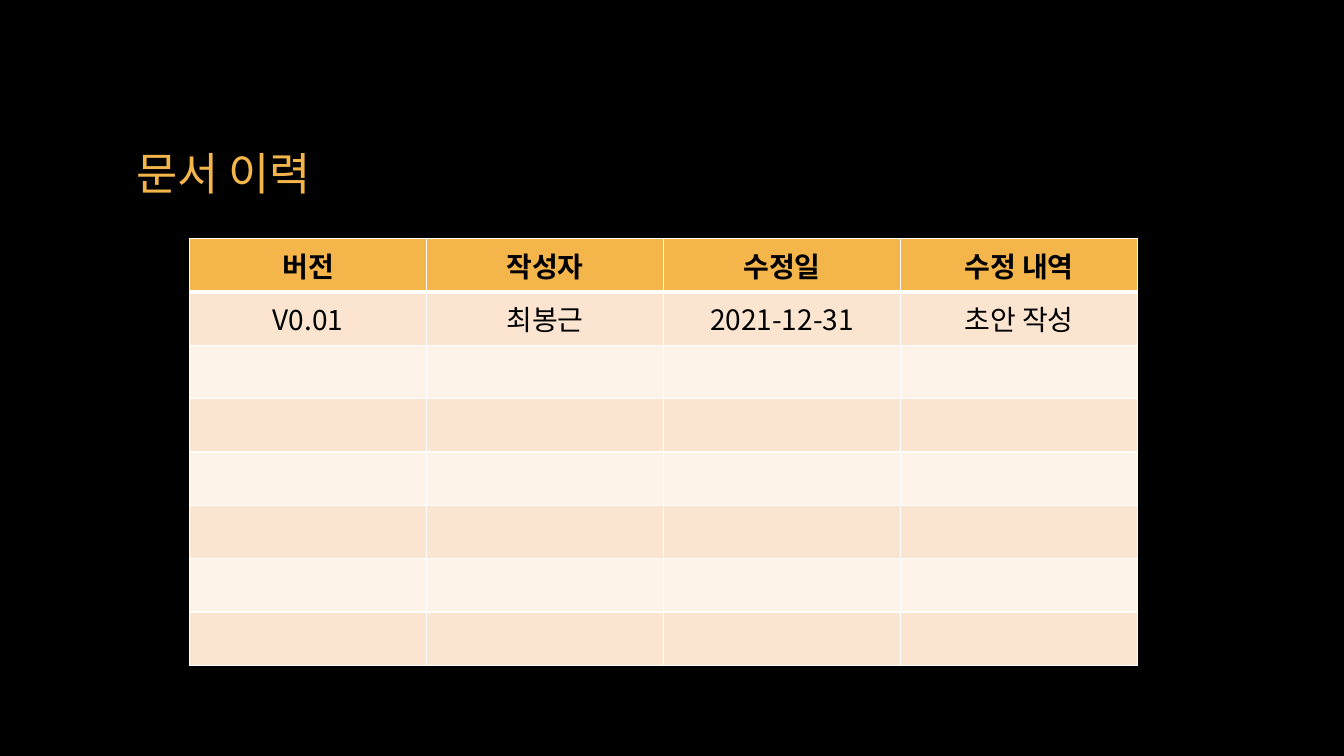
from dataclasses import dataclass

from lxml.etree import SubElement
from pptx import Presentation
from pptx.dml.color import RGBColor as Color
from pptx.enum.text import MSO_ANCHOR as Anchor, MSO_AUTO_SIZE as AutoSize, PP_ALIGN as Align
from pptx.oxml.ns import qn
from pptx.util import Pt


@dataclass(frozen=True)
class Theme:
    font: str = "Noto Sans CJK KR"
    background: str = "000000"
    accent: str = "F4B54B"
    text: str = "000000"
    border: str = "FFFFFF"
    bands: tuple = ("FBE5D0", "FDF3E9")
    title_size: int = 32
    table_size: int = 20
    thin: int = 1
    thick: int = 3


class SlideBuilder:
    def __init__(self, presentation, theme):
        self.theme = theme
        self.slide = presentation.slides.add_slide(presentation.slide_layouts[5])
        self.fill(self.slide.background, theme.background)

    def fill(self, target, color):
        target.fill.solid()
        target.fill.fore_color.rgb = Color.from_string(color)

    def style(self, paragraph, size, color, align, bold=False):
        paragraph.alignment = align
        font = paragraph.font
        font.size = Pt(size)
        font.bold = bold
        font.color.rgb = Color.from_string(color)
        font.name = self.theme.font
        defaults = paragraph._p.pPr.find(qn("a:defRPr"))
        SubElement(defaults, qn("a:ea"), typeface=self.theme.font)

    def title(self, text, left, top, width, height):
        shape = self.slide.shapes.title
        shape.left, shape.top = Pt(left), Pt(top)
        shape.width, shape.height = Pt(width), Pt(height)
        frame = shape.text_frame
        frame.text = text
        frame.auto_size = AutoSize.NONE
        frame.vertical_anchor = Anchor.MIDDLE
        self.style(frame.paragraphs[0], self.theme.title_size, self.theme.accent, Align.LEFT)

    def borders(self, cell, top, bottom):
        properties = cell._tc.get_or_add_tcPr()
        thin = self.theme.thin
        for side, width in (("L", thin), ("R", thin), ("T", top), ("B", bottom)):
            line = SubElement(properties, qn(f"a:ln{side}"), w=str(Pt(width)))
            color = SubElement(line, qn("a:solidFill"))
            SubElement(color, qn("a:srgbClr"), val=self.theme.border)

    def table(self, records, row_count, left, top, column_width, row_height):
        theme = self.theme
        column_count = len(records[0])
        table = self.slide.shapes.add_table(
            row_count, column_count, Pt(left), Pt(top),
            Pt(column_width * column_count), Pt(row_height * row_count)).table
        for column in table.columns:
            column.width = Pt(column_width)
        for row_index, row in enumerate(table.rows):
            row.height = Pt(row_height)
            header = row_index == 0
            color = theme.accent if header else theme.bands[(row_index - 1) % 2]
            top_line = theme.thick if row_index == 1 else theme.thin
            bottom_line = theme.thick if header else theme.thin
            for column_index, cell in enumerate(row.cells):
                cell.vertical_anchor = Anchor.MIDDLE
                self.borders(cell, top_line, bottom_line)
                self.fill(cell, color)
                if row_index < len(records):
                    cell.text = records[row_index][column_index]
                self.style(cell.text_frame.paragraphs[0], theme.table_size,
                           theme.text, Align.CENTER, header)


def main():
    presentation = Presentation()
    presentation.slide_width, presentation.slide_height = Pt(960), Pt(540)
    builder = SlideBuilder(presentation, Theme())
    builder.title("문서 이력", left=90, top=48, width=780, height=150)
    history = [
        ("버전", "작성자", "수정일", "수정 내역"),
        ("V0.01", "최봉근", "2021-12-31", "초안 작성"),
    ]
    builder.table(history, row_count=8, left=135.4, top=170.5,
                  column_width=169.3, row_height=38.1)
    presentation.save("out.pptx")


if __name__ == "__main__":
    main()
